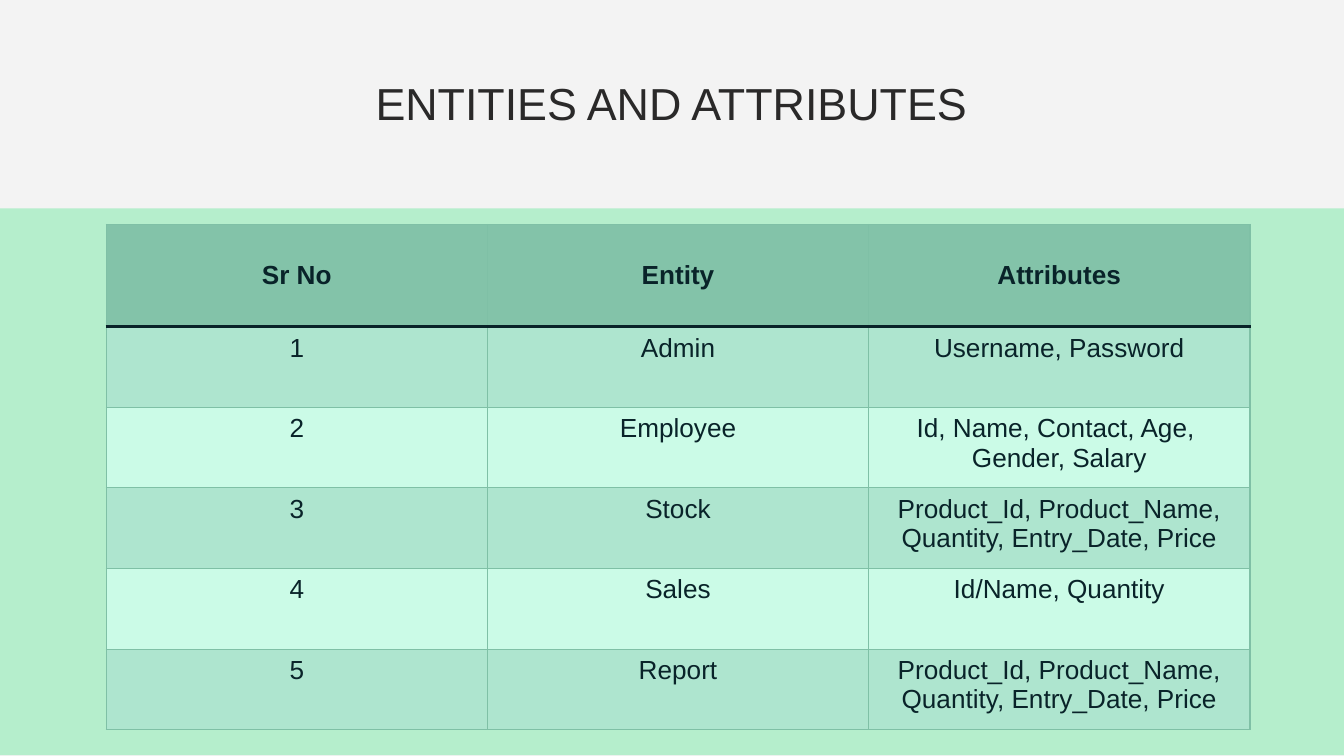
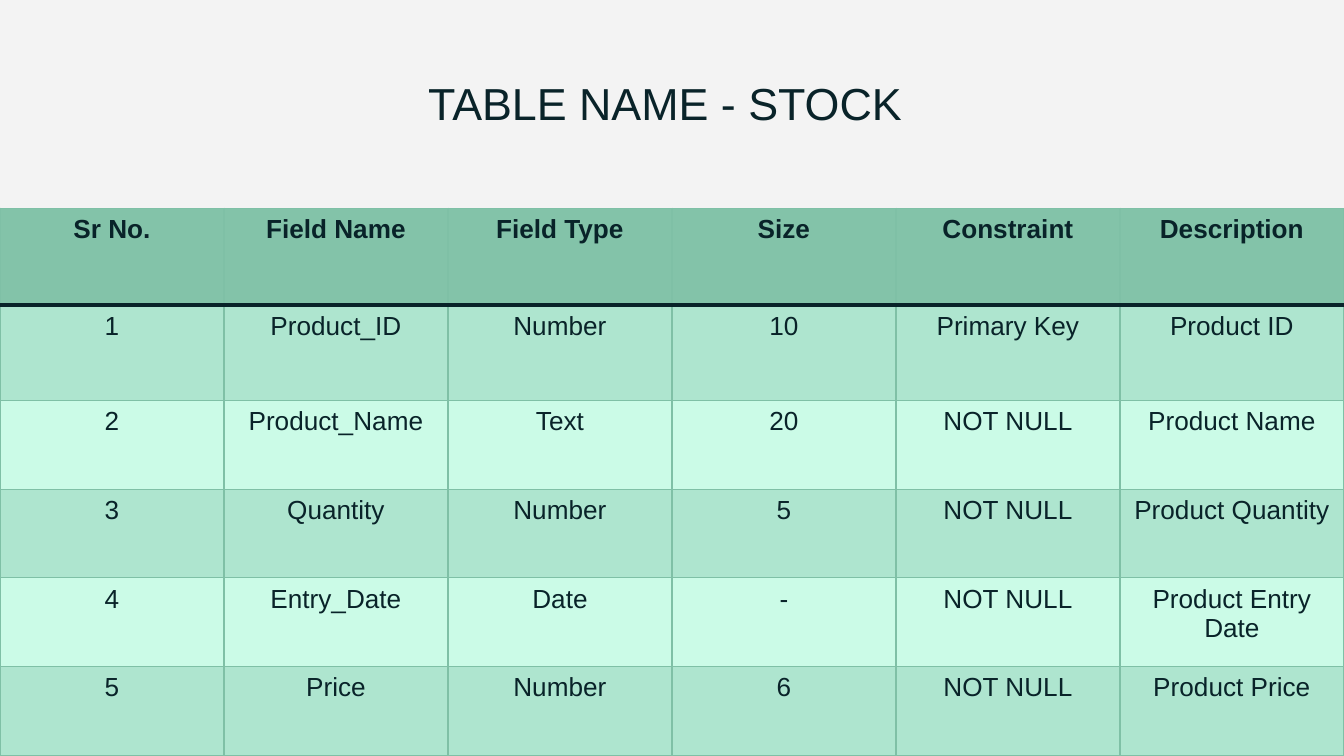
import dataclasses

import pptx
import pptx.dml.color
import pptx.enum.shapes
import pptx.enum.text
import pptx.oxml
import pptx.oxml.ns
import pptx.util
from pptx.util import Inches


@dataclasses.dataclass(frozen=True)
class Theme:
    font: str = "Arial"
    page: str = "F3F3F3"
    band: str = "B5EECC"
    header: str = "83C3A9"
    odd_row: str = "AEE5CF"
    even_row: str = "CBFBE7"
    border: str = "7FC0A6"
    ink: str = "092329"
    title_grey: str = "2A2929"
    title_size: int = 24
    cell_size: int = 14
    border_width: float = 0.75
    rule_width: float = 2


THEME = Theme()

ENTITIES = [
    ["Sr No", "Entity", "Attributes"],
    ["1", "Admin", "Username, Password"],
    ["2", "Employee", "Id, Name, Contact, Age,  Gender, Salary"],
    ["3", "Stock", "Product_Id, Product_Name, Quantity, Entry_Date, Price"],
    ["4", "Sales", "Id/Name, Quantity"],
    ["5", "Report", "Product_Id, Product_Name, Quantity, Entry_Date, Price"],
]

STOCK_FIELDS = [
    ["Sr No.", "Field Name", "Field Type", "Size", "Constraint", "Description"],
    ["1", "Product_ID", "Number", "10", "Primary Key", "Product ID"],
    ["2", "Product_Name", "Text", "20", "NOT NULL", "Product Name"],
    ["3", "Quantity", "Number", "5", "NOT NULL", "Product Quantity"],
    ["4", "Entry_Date", "Date", "-", "NOT NULL", "Product Entry Date"],
    ["5", "Price", "Number", "6", "NOT NULL", "Product Price"],
]


def paint(fill, color):
    fill.solid()
    fill.fore_color.rgb = pptx.dml.color.RGBColor.from_string(color)


def write_centered(frame, text, size, color, bold=False):
    para = frame.paragraphs[0]
    para.alignment = pptx.enum.text.PP_ALIGN.CENTER
    span = para.add_run()
    span.text = text
    span.font.name = THEME.font
    span.font.size = pptx.util.Pt(size)
    span.font.bold = bold
    span.font.color.rgb = pptx.dml.color.RGBColor.from_string(color)


def add_page(deck, title, title_color):
    page = deck.slides.add_slide(deck.slide_layouts[6])
    paint(page.background.fill, THEME.page)
    band = page.shapes.add_shape(
        pptx.enum.shapes.MSO_SHAPE.RECTANGLE,
        Inches(-0.03), Inches(1.55), Inches(10.05), Inches(4.07))
    band.shadow.inherit = False
    band.line.fill.background()
    paint(band.fill, THEME.band)

    box = page.shapes.add_textbox(Inches(1.5), Inches(0.45), Inches(6.99), Inches(0.63))
    frame = box.text_frame
    frame.word_wrap = True
    frame.vertical_anchor = pptx.enum.text.MSO_ANCHOR.MIDDLE
    frame.margin_left = frame.margin_right = Inches(0.1)
    frame.margin_top = frame.margin_bottom = Inches(0.1)
    write_centered(frame, title, THEME.title_size, title_color)
    return page


def add_border(cell, side, color, width):
    line = pptx.oxml.parse_xml(
        f'<a:ln{side} {pptx.oxml.ns.nsdecls("a")} w="{pptx.util.Pt(width)}">'
        f'<a:solidFill><a:srgbClr val="{color}"/></a:solidFill></a:ln{side}>')
    cell._tc.get_or_add_tcPr().append(line)


def style_cell(cell, row_index):
    rule_sides = {0: "B", 1: "T"}
    for side in "LRTB":
        if rule_sides.get(row_index) == side:
            add_border(cell, side, THEME.ink, THEME.rule_width)
        else:
            add_border(cell, side, THEME.border, THEME.border_width)
    if row_index == 0:
        color = THEME.header
    else:
        color = THEME.odd_row if row_index % 2 else THEME.even_row
    paint(cell.fill, color)


def add_grid(page, records, left, top, width, heights, header_anchor):
    columns = len(records[0])
    table = page.shapes.add_table(
        len(records), columns, Inches(left), Inches(top),
        Inches(width), Inches(sum(heights))).table
    for column in table.columns:
        column.width = Inches(width / columns)
    for row_index, (record, height) in enumerate(zip(records, heights)):
        table.rows[row_index].height = Inches(height)
        for column_index, text in enumerate(record):
            cell = table.cell(row_index, column_index)
            style_cell(cell, row_index)
            is_header = row_index == 0
            cell.vertical_anchor = (
                header_anchor if is_header else pptx.enum.text.MSO_ANCHOR.TOP)
            write_centered(cell.text_frame, text, THEME.cell_size, THEME.ink, is_header)


def main():
    deck = pptx.Presentation()
    deck.slide_width = Inches(10)
    deck.slide_height = deck.slide_width * 9 // 16
    anchor = pptx.enum.text.MSO_ANCHOR

    page = add_page(deck, "ENTITIES AND ATTRIBUTES", THEME.title_grey)
    add_grid(page, ENTITIES, 0.79, 1.67, 8.51, [0.76] + [0.6] * 5, anchor.MIDDLE)

    page = add_page(deck, "TABLE NAME - STOCK ", THEME.ink)
    add_grid(page, STOCK_FIELDS, 0, 1.55, 10, [0.72, 0.71] + [0.66] * 4, anchor.TOP)

    deck.save("out.pptx")


if __name__ == "__main__":
    main()
